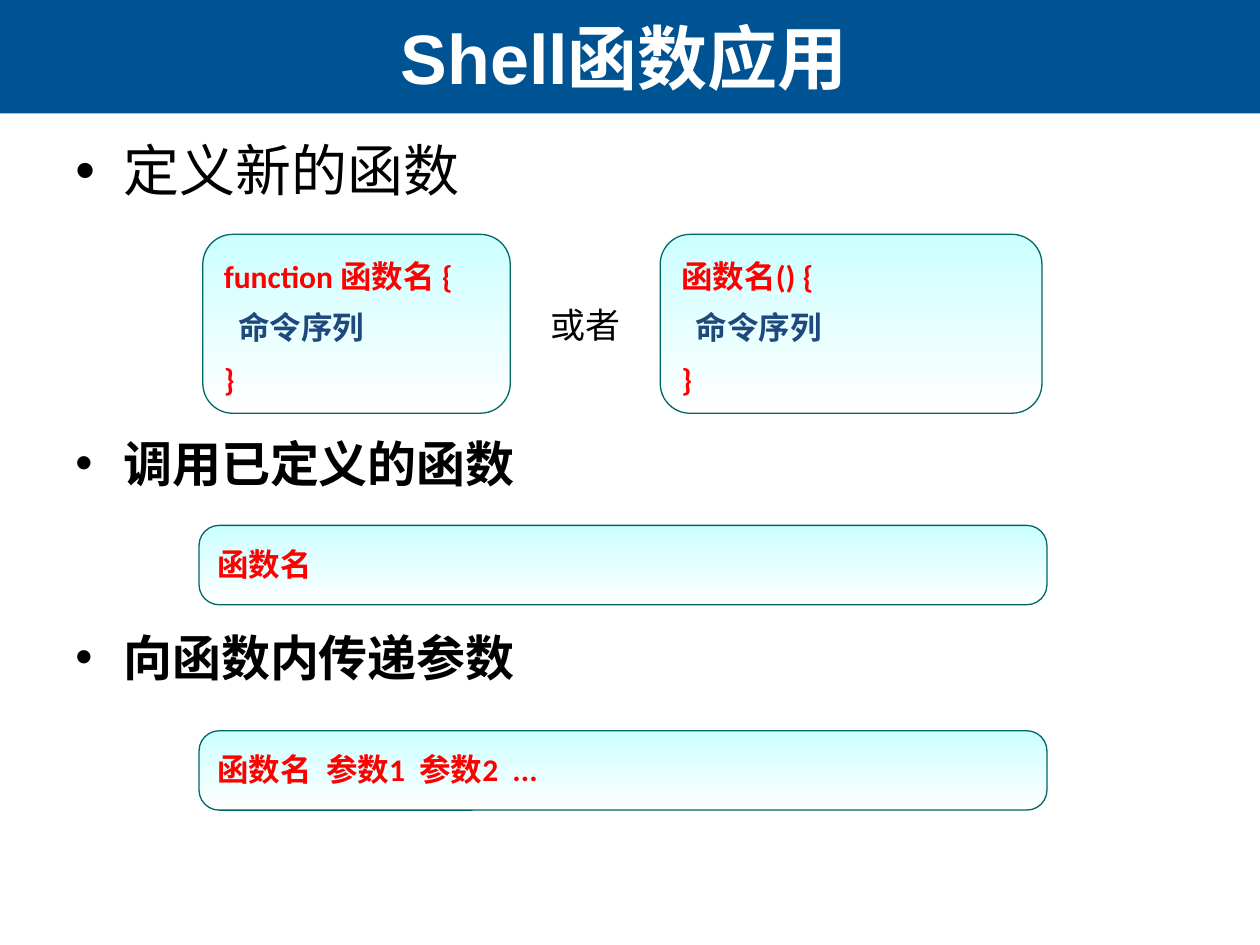
from lxml.etree import SubElement
from pptx import Presentation
from pptx.dml.color import RGBColor
from pptx.enum.shapes import MSO_SHAPE
from pptx.enum.text import MSO_ANCHOR, PP_ALIGN
from pptx.oxml.ns import qn
from pptx.util import Inches, Pt

WHITE = RGBColor(0xFF, 0xFF, 0xFF)
BLACK = RGBColor(0x00, 0x00, 0x00)
BLUE = RGBColor(0x00, 0x53, 0x92)
NAVY = RGBColor(0x1F, 0x49, 0x7D)
RED = RGBColor(0xFF, 0x00, 0x00)
CYAN = RGBColor(0xCC, 0xFF, 0xFF)
TEAL = RGBColor(0x00, 0x66, 0x66)

TITLE = "Shell函数应用"
HEADINGS = [
    ("定义新的函数", 1.03, 0.67, 32, False),
    ("调用已定义的函数", 3.39, 0.71, 28, True),
    ("向函数内传递参数", 4.93, 0.63, 28, True),
]
BODY = [("  命令序列".replace(" ", " "), NAVY), ("}", RED)]
DEFINE_BOX = {"top": 1.86, "height": 1.42, "adj": 0.167}
CALL_BOX = {"left": 1.58, "width": 6.73, "height": 0.63, "adj": 0.254}
CODE_BOXES = [
    ({**DEFINE_BOX, "left": 1.61, "width": 2.44}, [("function 函数名 {", RED)] + BODY),
    ({**DEFINE_BOX, "left": 5.24, "width": 3.03}, [("函数名() {", RED)] + BODY),
    ({**CALL_BOX, "top": 4.17}, [("函数名", RED)]),
    ({**CALL_BOX, "top": 5.8}, [("函数名  参数1  参数2  ...", RED)]),
]


def add_text(p, text, color, **fmt):
    r = p.add_run()
    r.text = text
    for name, value in fmt.items():
        setattr(r.font, name, value)
    r.font.color.rgb = color


def add_box(slide, left, top, width, height):
    box = slide.shapes.add_textbox(*map(Inches, (left, top, width, height)))
    box.text_frame.word_wrap = True
    return box.text_frame


def add_heading(slide, text, top, height, size, bold):
    p = add_box(slide, 0.5, top, 9, height).paragraphs[0]
    pPr = p._p.get_or_add_pPr()
    pPr.set("marL", str(Inches(0.38)))
    pPr.set("indent", str(-Inches(0.38)))
    SubElement(pPr, qn("a:buFont")).set("typeface", "Arial")
    SubElement(pPr, qn("a:buChar")).set("char", "•")
    add_text(p, text, BLACK, size=Pt(size), name="Calibri", bold=bold)


def add_code(slide, place, lines):
    at = [Inches(place[key]) for key in ("left", "top", "width", "height")]
    sp = slide.shapes.add_shape(MSO_SHAPE.ROUNDED_RECTANGLE, *at)
    sp.adjustments[0] = place["adj"]
    sp.shadow.inherit = False
    sp.fill.gradient()
    sp.fill.gradient_angle = 270
    for stop, color, position in zip(sp.fill.gradient_stops, (CYAN, WHITE), (0, 1)):
        stop.color.rgb = color
        stop.position = position
    sp.line.color.rgb = TEAL
    sp.line.width = Pt(0.75)
    tf = sp.text_frame
    tf.vertical_anchor = MSO_ANCHOR.TOP
    for i, (text, color) in enumerate(lines):
        p = tf.add_paragraph() if i else tf.paragraphs[0]
        p.alignment = PP_ALIGN.LEFT
        p.line_spacing = 1.2
        p.space_before = Pt(3.6 if i else 0)
        add_text(p, text, color, size=Pt(18), name="Calibri", bold=True)


def main():
    prs = Presentation()
    prs.slide_width, prs.slide_height = Inches(10), Inches(7.5)
    slide = prs.slides.add_slide(prs.slide_layouts[6])

    band = slide.shapes.add_shape(MSO_SHAPE.RECTANGLE, 0, 0, prs.slide_width, Inches(0.9))
    band.shadow.inherit = False
    band.fill.solid()
    band.fill.fore_color.rgb = BLUE
    band.line.fill.background()

    tf = add_box(slide, 0.02, 0, 9.87, 0.9)
    tf.vertical_anchor = MSO_ANCHOR.MIDDLE
    p = tf.paragraphs[0]
    p.alignment = PP_ALIGN.CENTER
    add_text(p, TITLE, WHITE, size=Pt(40), name="Arial", bold=True)

    for heading in HEADINGS:
        add_heading(slide, *heading)
    for place, lines in CODE_BOXES:
        add_code(slide, place, lines)

    tf = add_box(slide, 4.37, 2.41, 0.71, 0.35)
    for side in ("left", "top", "right", "bottom"):
        setattr(tf, f"margin_{side}", 0)
    add_text(tf.paragraphs[0], "或者", BLACK, size=Pt(20), name="Calibri")

    prs.save("out.pptx")


if __name__ == "__main__":
    main()
